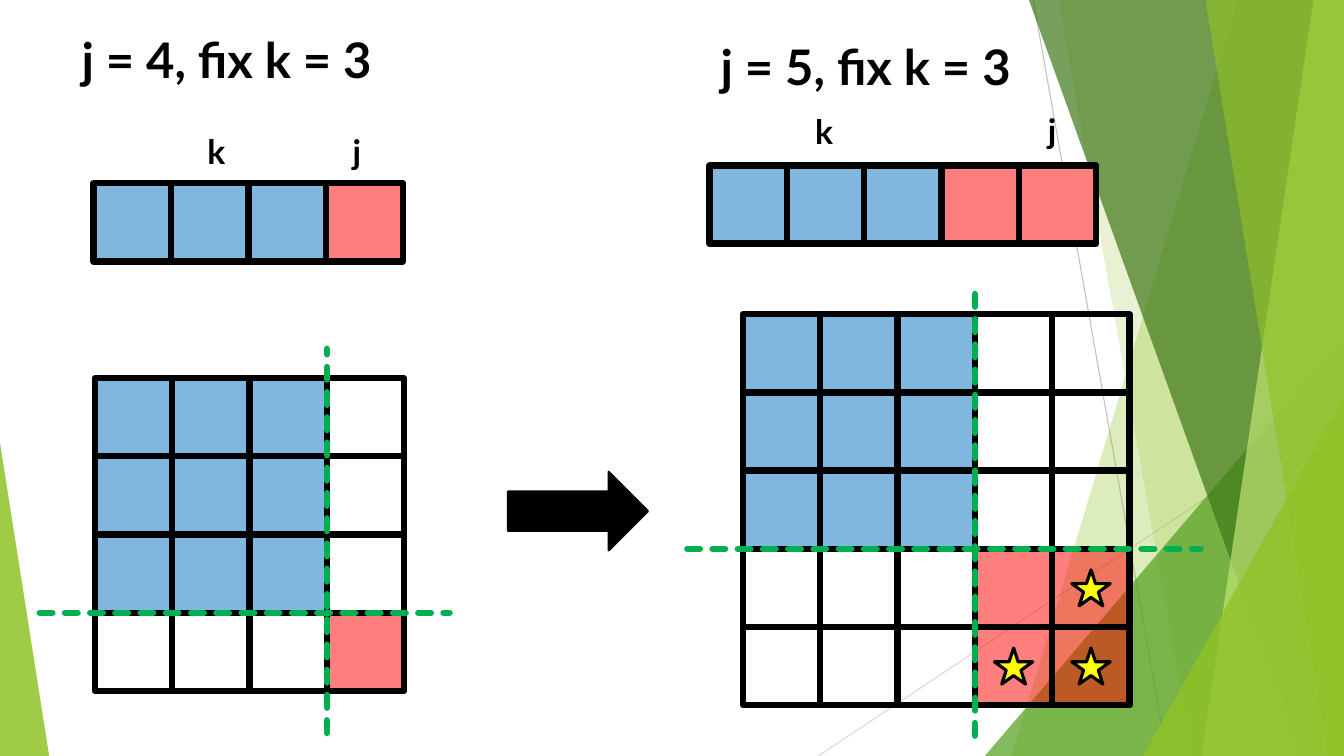
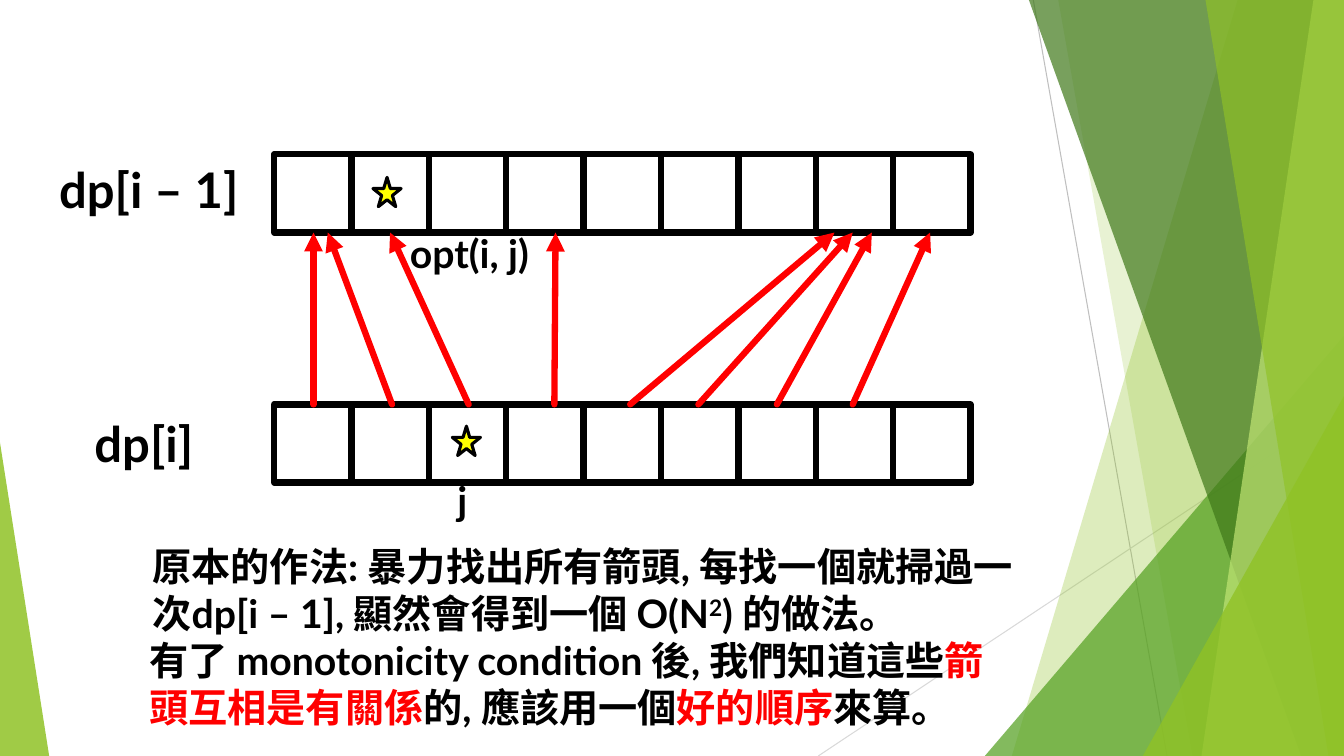
from dataclasses import dataclass

from lxml import etree
from pptx import Presentation
from pptx import util as u
from pptx.dml.color import RGBColor
from pptx.enum import dml, shapes, text
from pptx.oxml.ns import qn


@dataclass(frozen=True)
class Theme:
    font: str = "Lato"
    ink: str = "000000"
    blue: str = "0070C0"
    red: str = "FF0000"
    sky: str = "7FB7DF"
    rose: str = "FF7F7F"
    cut: str = "00B050"
    star: str = "FFFF00"
    lime: str = "90C226"
    leaf: str = "54A021"
    moss: str = "3F7819"
    pale: str = "C0E474"
    ash: str = "BFBFBF"
    mist: str = "D9D9D9"
    head: int = 35
    body: int = 28
    mark: int = 24
    bold: float = 4.5
    thin: float = 0.75


look = Theme()
kind = shapes.MSO_SHAPE
wire = shapes.MSO_CONNECTOR.STRAIGHT
wide, high = 33.87, 19.05
cell, tall = 1.95, 1.97


def paint(shape, fill=None, line=None, size=look.bold, alpha=100):
    props = shape.element.spPr
    if fill:
        shape.fill.solid()
        shape.fill.fore_color.rgb = RGBColor.from_string(fill)
        tint = props.find(".//" + qn("a:srgbClr"))
        etree.SubElement(tint, qn("a:alpha"), val=str(alpha * 1000))
    elif hasattr(shape, "fill"):
        shape.fill.background()
    if line:
        shape.line.color.rgb = RGBColor.from_string(line)
        shape.line.width = u.Pt(size)
    else:
        shape.line.fill.background()
    etree.SubElement(props, qn("a:effectLst"))
    return shape


def write(shape, words, size):
    frame = shape.text_frame
    frame.word_wrap = True
    frame.auto_size = text.MSO_AUTO_SIZE.NONE
    frame.vertical_anchor = text.MSO_ANCHOR.TOP
    frame.text = words
    for para in frame.paragraphs:
        para.alignment = text.PP_ALIGN.LEFT
        para.space_before = u.Pt(0)
        para.font.name = look.font
        para.font.size = u.Pt(size)
        para.font.bold = True
        para.font.color.rgb = RGBColor.from_string(look.ink)


deck = Presentation()
deck.slide_width, deck.slide_height = u.Cm(wide), u.Cm(high)
page = deck.slides.add_slide(deck.slide_layouts[5])
title = page.shapes.title
art = page.shapes

decor = []
for ends, tone in [((26.04, 0, 29.41, high), look.ash),
                   ((wide, 10.24, 20.62, high), look.mist)]:
    rule = art.add_connector(wire, *map(u.Cm, ends))
    decor.append(paint(rule, line=tone, size=look.thin))

bands = [
    ((31.19, 25.5), None, look.lime, 30),
    ((26.67, 30.05), None, look.lime, 20),
    ((24.82, 8.46), 1, look.leaf, 72),
    ((25.93, 32.79), None, look.moss, 70),
    ((33.1, 30.28), None, look.pale, 70),
    ((30.38, 33.48), None, look.lime, 65),
    ((28.8, 9.98), 1, look.lime, 80),
    ((0, 11.15), 0, look.lime, 85),
]
for (a, b), lean, tone, alpha in bands:
    if lean is None:
        pen = art.build_freeform(u.Cm(a), 0)
        spots = [(wide, 0), (wide, high), (b, high)]
        pen.add_line_segments([(u.Cm(x), u.Cm(y)) for x, y in spots])
        band = pen.convert_to_shape()
    else:
        span = wide - a if lean else 1.24
        band = art.add_shape(kind.ISOSCELES_TRIANGLE, *map(u.Cm, (a, b, span, high - b)))
        band.adjustments[0] = lean
    decor.append(paint(band, tone, alpha=alpha))

tree = deck.slide_master.element.cSld.spTree
for n, item in enumerate(decor):
    item.element.find(".//" + qn("p:cNvPr")).set("id", str(100 + n))
    tree.insert(2 + n, item.element)

title.left, title.top, title.width, title.height = map(u.Cm, (1.8, 0.61, 9.83, 1.75))
write(title, "j = 4, fix k = 3", look.head)
write(art.add_textbox(*map(u.Cm, (17.91, 0.79, 10.03, 1.75))), "j = 5, fix k = 3", look.head)

fix = 3
plans = [
    (4, (2.36, 4.62), (2.39, 9.53), (1, 11.33), (8.79, 18.47)),
    (5, (17.88, 4.17), (18.72, 7.92), (17.32, 30.25), (7.19, 18.54)),
]
for count, (left, top), (x, y), flat, drop in plans:
    for col in range(count):
        box = map(u.Cm, (left + col * cell, top, cell, tall))
        paint(art.add_shape(kind.RECTANGLE, *box),
              look.sky if col < fix else look.rose, look.ink)
    for row in range(count):
        for col in range(count):
            box = map(u.Cm, (x + col * cell, y + row * tall, cell, tall))
            tone = {0: look.red, 2: look.blue}.get((row < fix) + (col < fix))
            paint(art.add_shape(kind.RECTANGLE, *box), tone, look.ink, alpha=50)
    midx, midy = x + fix * cell, y + fix * tall
    for ends in [(flat[0], midy, flat[1], midy), (midx, drop[1], midx, drop[0])]:
        rule = paint(art.add_connector(wire, *map(u.Cm, ends)), line=look.cut)
        rule.line.dash_style = dml.MSO_LINE.SQUARE_DOT
        rule.element.spPr.find(qn("a:ln")).set("cap", "rnd")

for row, col in [(3, 4), (4, 3), (4, 4)]:
    box = (x + col * cell + 0.49, y + row * tall + 0.53, 0.97, 0.91)
    paint(art.add_shape(kind.STAR_5_POINT, *map(u.Cm, box)), look.star, look.ink, 2.25)

arrow = art.add_shape(kind.RIGHT_ARROW, *map(u.Cm, (12.8, 11.89, 3.53, 1.98)))
paint(arrow, look.ink, look.ink, 1.5)

for word, left, top in [("k", 4.98, 3.18), ("j", 8.64, 3.18),
                        ("k", 20.29, 2.67), ("j", 26.16, 2.64)]:
    write(art.add_textbox(*map(u.Cm, (left, top, 1.2, 1.27))), word, look.mark)

page = deck.slides.add_slide(deck.slide_layouts[1])
art = page.shapes
note = page.placeholders[1]
art.title.element.getparent().remove(art.title.element)

above, below = 3.89, 10.19
for top in (above, below):
    for col in range(9):
        box = map(u.Cm, (6.91 + col * cell, top, cell, tall))
        paint(art.add_shape(kind.RECTANGLE, *box), line=look.ink)

moves = [(7.9, 7.9), (9.88, 8.26), (11.81, 9.83), (13.97, 14),
         (15.88, 21.03), (17.6, 21.49), (19.58, 21.97), (21.49, 23.44)]
for start, end in moves:
    ends = map(u.Cm, (start, below, end, above + tall))
    arrow = paint(art.add_connector(wire, *ends), line=look.red)
    edge = arrow.element.spPr.find(qn("a:ln"))
    edge.set("cap", "rnd")
    etree.SubElement(edge, qn("a:tailEnd"), type="triangle")

for left, top in [(11.4, 10.74), (9.4, 4.47)]:
    box = map(u.Cm, (left, top, 0.71, 0.74))
    paint(art.add_shape(kind.STAR_5_POINT, *box), look.star, look.ink, 2.25)

for word, left, top, span, size in [
    ("dp[i – 1]", 1.24, 3.89, 6.5, look.head),
    ("dp[i]", 2.13, 10.29, 6.5, look.head),
    ("j", 11.28, 11.89, 1.2, look.body),
    ("opt(i, j)", 10.08, 5.66, 4.52, look.body),
]:
    write(art.add_textbox(*map(u.Cm, (left, top, span, 1.6))), word, size)

note.left, note.top, note.width, note.height = map(u.Cm, (3.51, 13.54, 22.33, 5.1))
write(note, "\n", look.body)
lines = [
    (0.08, [("原本的作法: 暴力找出所有箭頭, 每找一個就掃過一次dp[i – 1], 顯然會得到一個 O(N", ""),
            ("2", "up"), (") 的做法。", "")]),
    (0, [("有了 monotonicity condition 後, 我們知道這些", ""), ("箭頭互相是有關係", "red"),
         ("的, 應該用一個", ""), ("好的順序", "red"), ("來算。", "")]),
]
for para, (inset, parts) in zip(note.text_frame.paragraphs, lines):
    props = para._p.get_or_add_pPr()
    props.set("marL", str(u.Cm(inset)))
    props.set("indent", "0")
    props.insert_element_before(etree.SubElement(props, qn("a:buNone")), "a:defRPr")
    for words, mode in parts:
        run = para.add_run()
        run.text = words
        if mode == "red":
            run.font.color.rgb = RGBColor.from_string(look.red)
        elif mode == "up":
            run._r.get_or_add_rPr().set("baseline", "30000")

deck.save("out.pptx")
